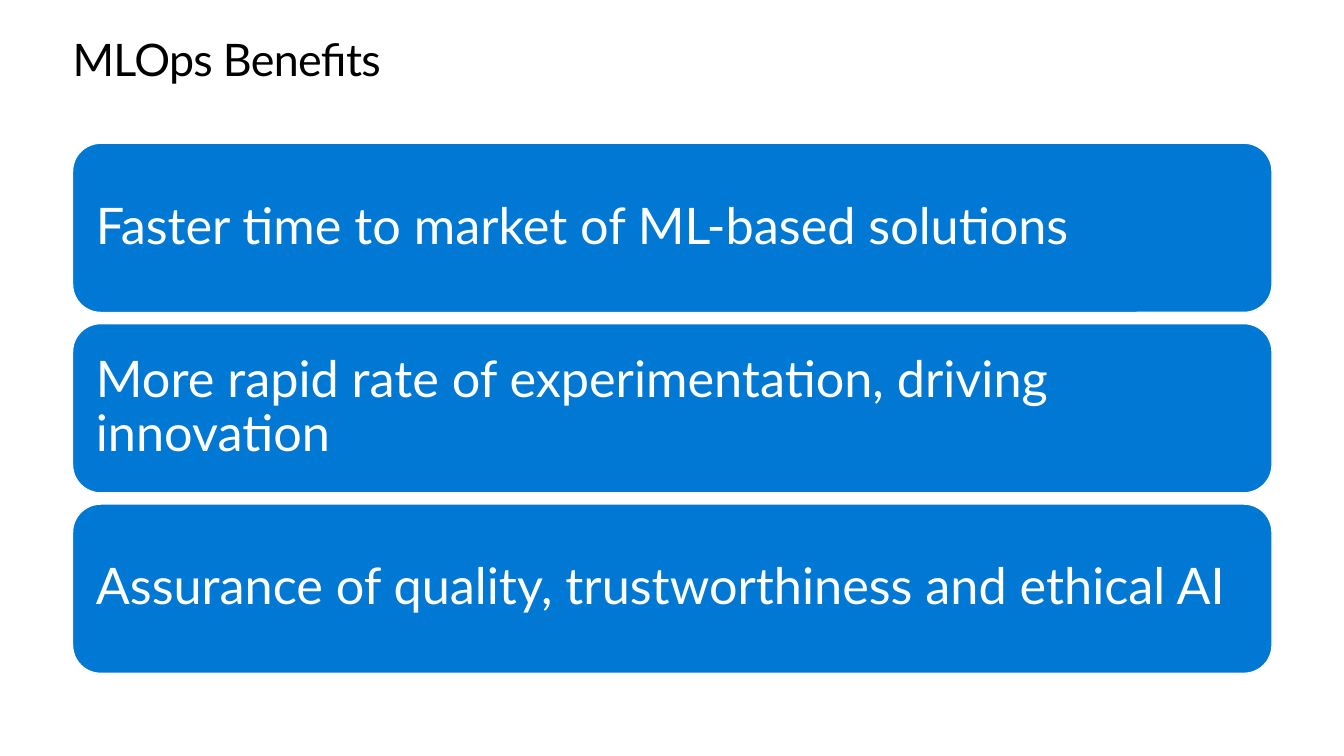
from pptx import Presentation
from pptx.dml.color import RGBColor
from pptx.enum import shapes, text
from pptx.util import Pt

COLORS = {"ink": "000000", "blue": "0078D4", "white": "FFFFFF"}
LEFT, WIDTH = 51.84, 856.8
TOP, HEIGHT, PITCH = 102.24, 120.96, 128.9
BENEFITS = [
    "Faster time to market of ML-based solutions",
    "More rapid rate of experimentation, driving innovation",
    "Assurance of quality, trustworthiness and ethical AI",
]


def color(name):
    return RGBColor.from_string(COLORS[name])


class Deck:
    font = "Lato"

    def __init__(self):
        self.prs = Presentation()
        self.prs.slide_width, self.prs.slide_height = Pt(960), Pt(540)
        self.slide = self.prs.slides.add_slide(self.prs.slide_layouts[6])

    def label(self, shape, words, size, tint, inset, anchor, leading):
        """Fill a shape with one left-aligned run and return the run."""
        frame = shape.text_frame
        frame.word_wrap = True
        frame.vertical_anchor = anchor
        frame.margin_left = frame.margin_right = Pt(inset)
        frame.margin_top = frame.margin_bottom = Pt(inset)
        para = frame.paragraphs[0]
        para.alignment = text.PP_ALIGN.LEFT
        para.line_spacing = leading
        run = para.add_run()
        run.text = words
        run.font.name, run.font.size = self.font, Pt(size)
        run.font.color.rgb = color(tint)
        return run

    def title(self, words):
        box = self.slide.shapes.add_textbox(Pt(LEFT), Pt(25.2), Pt(WIDTH), Pt(36))
        run = self.label(box, words, 32, "ink", 0, text.MSO_ANCHOR.TOP, Pt(36.2))
        run._r.get_or_add_rPr().set("spc", "-50")

    def card(self, words, top):
        card = self.slide.shapes.add_shape(
            shapes.MSO_SHAPE.ROUNDED_RECTANGLE,
            Pt(LEFT), Pt(top), Pt(WIDTH), Pt(HEIGHT))
        card.shadow.inherit = False
        card.fill.solid()
        card.fill.fore_color.rgb = color("blue")
        card.line.color.rgb = color("white")
        card.line.width = Pt(1)
        self.label(card, words, 36, "white", 10.8, text.MSO_ANCHOR.MIDDLE, 0.9)


def main():
    deck = Deck()
    deck.title("MLOps Benefits")
    for row, words in enumerate(BENEFITS):
        deck.card(words, TOP + row * PITCH)
    deck.prs.save("out.pptx")


if __name__ == "__main__":
    main()
